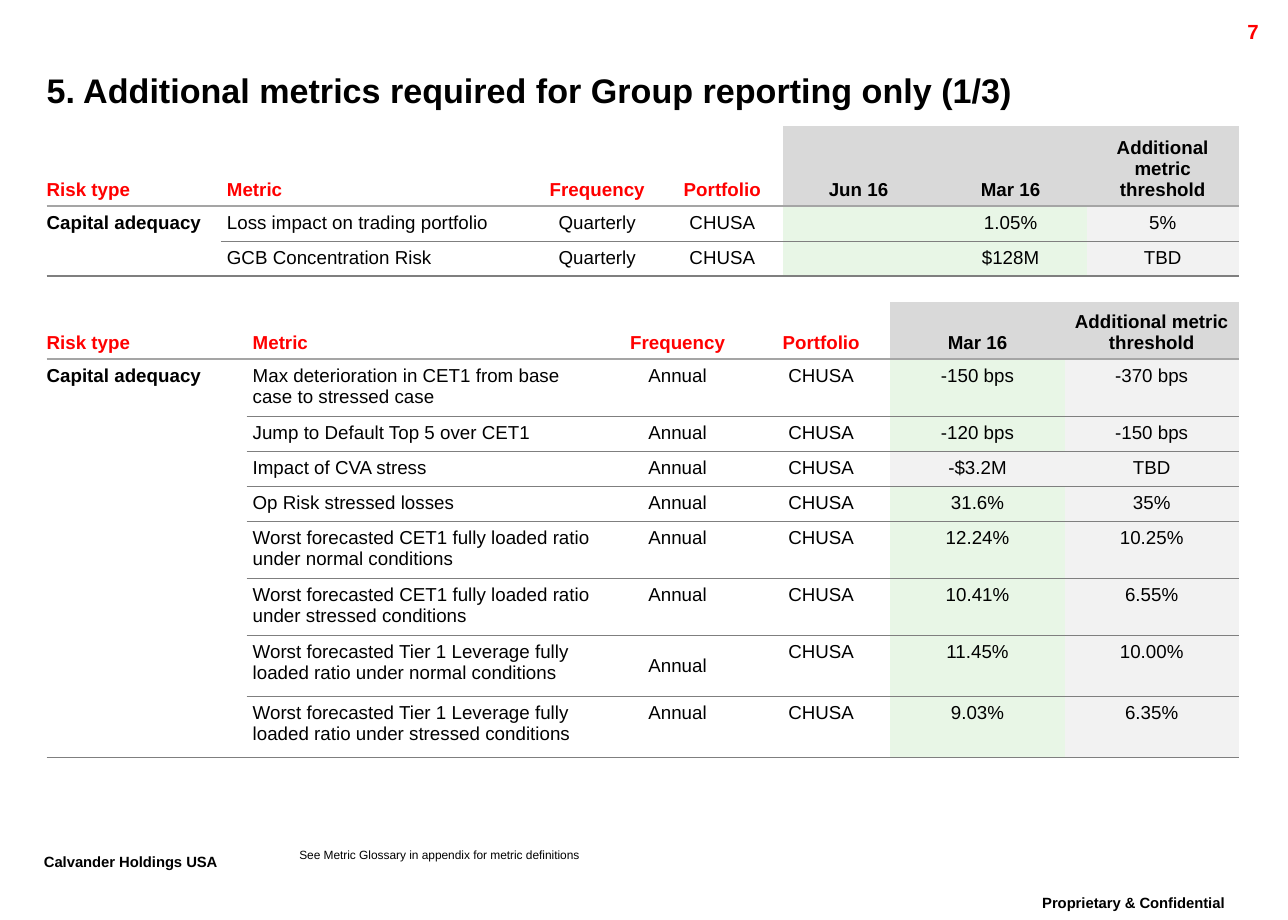
from lxml.etree import SubElement
from pptx import Presentation
from pptx.dml.color import RGBColor as Rgb
from pptx.enum.text import MSO_ANCHOR as Anchor, PP_ALIGN as Align
from pptx.oxml import parse_xml
from pptx.oxml.ns import nsdecls, qn
from pptx.util import Inches, Pt

HUES = {
    "black": "000000", "red": "FF0000", "head": "D9D9D9", "green": "E8F6E6",
    "grey": "F2F2F2", "rule": "7F7F7F", "pale": "A5A5A5",
}
PLAIN = "{2D5ABB26-0587-4C30-8999-92F81FD0307C}"  # table style without lines
VALUE = 4  # first column of values

HEAD = ["Risk type", "Metric", "Frequency", "Portfolio"]
LIMIT = "Additional metric threshold"
RISK = "Capital adequacy"
UNIT = "CHUSA"

TRADE = [
    ("Loss impact on trading portfolio", "", "1.05%", "5%"),
    ("GCB Concentration Risk", "", "$128M", "TBD"),
]
STRESS = [
    ("Max deterioration in CET1 from base case to stressed case",
     "-150 bps", "-370 bps"),
    ("Jump to Default Top 5 over CET1", "-120 bps", "-150 bps"),
    ("Impact of CVA stress", "-$3.2M", "TBD"),
    ("Op Risk stressed losses", "31.6%", "35%"),
    ("Worst forecasted CET1 fully loaded ratio under normal conditions",
     "12.24%", "10.25%"),
    ("Worst forecasted CET1 fully loaded ratio under stressed conditions",
     "10.41%", "6.55%"),
    ("Worst forecasted Tier 1 Leverage fully loaded ratio "
     "under normal conditions", "11.45%", "10.00%"),
    ("Worst forecasted Tier 1 Leverage fully loaded ratio "
     "under stressed conditions", "9.03%", "6.35%"),
]


def grid(n):
    """Length of n steps on a grid of 105 columns by 75 rows."""
    return Inches(n / 10)


def style(par, size, hue="black", bold=False, align=Align.LEFT):
    par.alignment = align
    font = par.font
    font.name, font.size, font.bold = "Arial", Pt(size), bold
    font.color.rgb = Rgb.from_string(HUES[hue])


def label(slide, box, text, size, hue="black", bold=False, align=Align.LEFT,
          pad=(1, 0.5), mid=False, wrap=True, lift=False, lead=None):
    frame = slide.shapes.add_textbox(*map(grid, box)).text_frame
    frame.word_wrap = wrap
    frame.margin_left = frame.margin_right = grid(pad[0])
    frame.margin_top = frame.margin_bottom = grid(pad[1])
    frame.vertical_anchor = Anchor.MIDDLE if mid else Anchor.TOP
    par = frame.paragraphs[0]
    run = par.add_run()
    run.text = text
    style(par, size, hue, bold, align)
    par.line_spacing = lead
    if lift:  # raised small text
        run._r.get_or_add_rPr().set("baseline", "30000")


def edge(cell, sides):
    """Draw rules on the top (T) or bottom (B) of a cell."""
    props = cell._tc.get_or_add_tcPr()
    for at, (side, hue, width) in enumerate(sides):
        props.insert(at, parse_xml(
            f'<a:ln{side} {nsdecls("a")} w="{Pt(width)}"><a:solidFill>'
            f'<a:srgbClr val="{HUES[hue]}"/></a:solidFill></a:ln{side}>'))


def fill(cell, hue):
    if hue:
        cell.fill.solid()
        cell.fill.fore_color.rgb = Rgb.from_string(HUES[hue])
    else:
        cell.fill.background()


def tint(row, col, last, text):
    if col < VALUE:
        return None
    if row == 0:
        return "head"
    return "grey" if col == last or text == "-$3.2M" else "green"


def metrics(slide, box, dates, data, cols, rows, mid=()):
    """Table of metrics; mid lists the cells centred from top to bottom."""
    lines = [HEAD + dates + [LIMIT]]
    for at, (name, *vals) in enumerate(data):
        period = "Quarterly" if data is TRADE else "Annual"
        lines.append(["" if at else RISK, name, period, UNIT, *vals])
    last = len(cols) - 1
    table = slide.shapes.add_table(
        len(rows), len(cols), *map(grid, box)).table
    table.first_row = table.horz_banding = False
    table._tbl.tblPr.find(qn("a:tableStyleId")).text = PLAIN
    for col, size in zip(table.columns, cols):
        col.width = grid(size)
    for row, size in zip(table.rows, rows):
        row.height = grid(size)

    for r, line in enumerate(lines):
        for c, text in enumerate(line):
            cell = table.cell(r, c)
            cell.margin_left = grid(0.5 if c else 0)
            cell.margin_right = cell.margin_top = grid(0.5)
            cell.margin_bottom = grid(0.5)
            cell.vertical_anchor = (
                Anchor.BOTTOM if r == 0 else
                Anchor.MIDDLE if (r, c) in mid else Anchor.TOP)
            par = cell.text_frame.paragraphs[0]
            if text:
                par.add_run().text = text
            style(par, 11, "red" if r == 0 and c < VALUE else "black",
                  r == 0 or c == 0, Align.CENTER if c > 1 else Align.LEFT)
            if not text:  # keeps an empty cell low
                SubElement(par._p, qn("a:endParaRPr"), sz="1100")
            fill(cell, tint(r, c, last, text))
            # Rules between rows
            top, low = ("T", "rule", 0.75), ("B", "rule", 0.75)
            if r == 0:
                edge(cell, [("B", "pale", 1)])
            elif r == 1:
                edge(cell, [("T", "pale", 1), low])
            elif c or r == len(data):
                edge(cell, [top, low] if c else [low])
    table.cell(1, 0).merge(table.cell(len(data), 0))


def footer(slide):
    label(slide, (2.6, 69.1, 19.1, 3.5), "Calvander Holdings USA", 15,
          bold=True, wrap=False, lift=True, lead=0.86)
    label(slide, (24.4, 69.3, 54.7, 1),
          "See Metric Glossary in appendix for metric definitions", 7,
          pad=(0, 0), lead=0.86)
    label(slide, (81.5, 72.5, 21.8, 3.5), "Proprietary & Confidential", 15,
          bold=True, align=Align.CENTER, lift=True, lead=0.86)


def main():
    deck = Presentation()
    deck.slide_width, deck.slide_height = grid(105), grid(75)
    slide = deck.slides.add_slide(deck.slide_layouts[6])

    # Page number and title
    label(slide, (93.6, 1.1, 10, 2.4), "7", 12, "red", True, Align.RIGHT)
    label(slide, (3.8, 4.9, 94.8, 4.8),
          "5. Additional metrics required for Group reporting only (1/3)",
          20, bold=True, pad=(0, 0), mid=True)

    # Quarterly and annual metrics
    metrics(slide, (3.8, 10.3, 97.2, 12.2), ["Jun 16", "Mar 16"], TRADE,
            [14.2, 25.4, 10.6, 9.8] + [12.4] * 3, [6.5] + [2.85] * 2)
    metrics(slide, (3.8, 24.6, 97.2, 37.05), ["Mar 16"], STRESS,
            [16.3, 29.1, 12.1, 11.3] + [14.2] * 2,
            [4.65] * 2 + [2.85] * 3 + [4.65] * 2 + [4.95] * 2, mid={(7, 2)})

    footer(slide)
    deck.save("out.pptx")


if __name__ == "__main__":
    main()
